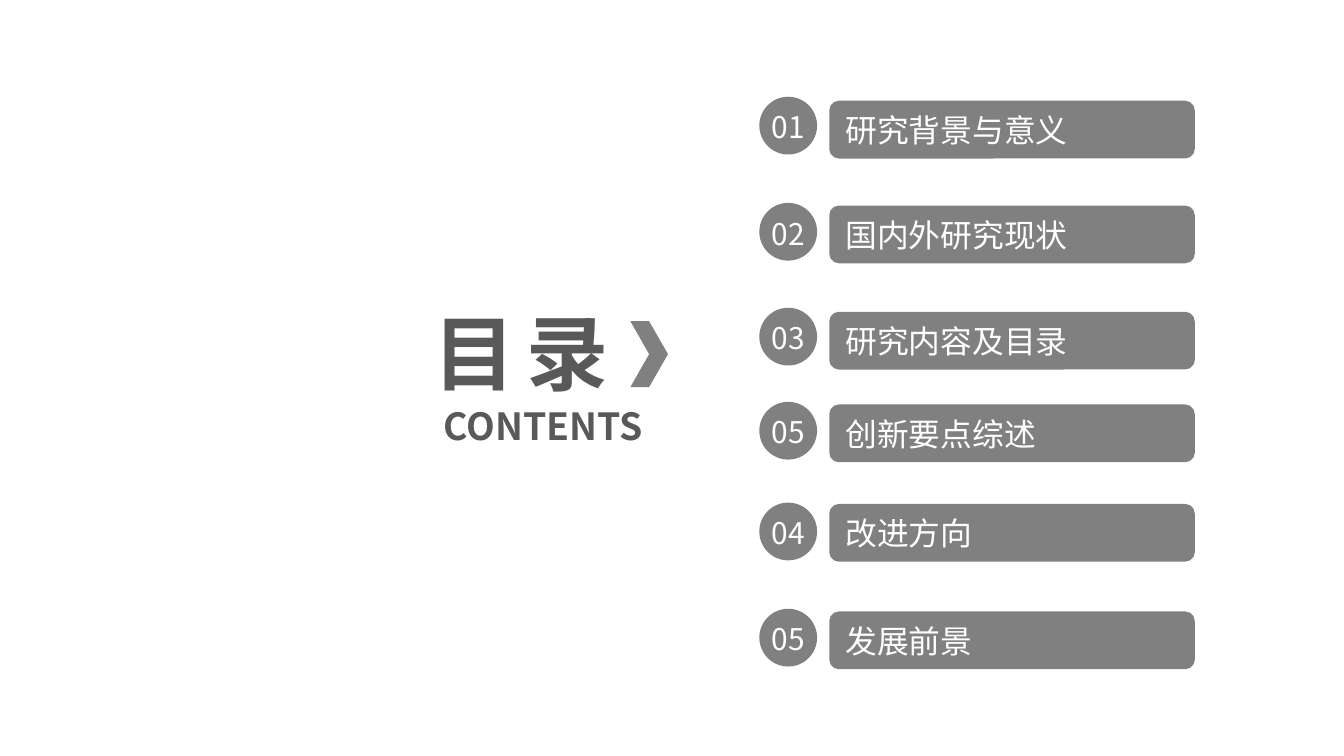
from pptx import Presentation
from pptx import util as u
from pptx.dml.color import RGBColor
from pptx.enum import shapes, text
from pptx.oxml.ns import qn

WIDTH = 10
HEIGHT = WIDTH * 9 / 16
FONT = "Noto Sans CJK SC"
GRAY, DARK, WHITE = "808080", "595959", "FFFFFF"
DOT_X, BAR_X = 0.565 * WIDTH, 0.617 * WIDTH
SIZE, BAR_W = 0.43, 0.272 * WIDTH
LABEL_W, LABEL_H = 0.52, 0.37
ROWS = [
    (0.72, 0.75, "01", "研究背景与意义"),
    (1.51, 1.53, "02", "国内外研究现状"),
    (2.29, 2.32, "03", "研究内容及目录"),
    (2.99, 3.01, "05", "创新要点综述"),
    (3.74, 3.75, "04", "改进方向"),
    (4.53, 4.55, "05", "发展前景"),
]


def color(value):
    return RGBColor.from_string(value)


def write(sp, words, size, fill, bold=False, align=text.PP_ALIGN.LEFT, spacing=None):
    tf = sp.text_frame
    tf.word_wrap = True
    tf.auto_size = text.MSO_AUTO_SIZE.NONE
    tf.vertical_anchor = text.MSO_ANCHOR.MIDDLE
    p = tf.paragraphs[0]
    p.alignment = align
    r = p.add_run()
    r.text = words
    r.font.size = u.Pt(size)
    r.font.bold = bold
    r.font.color.rgb = color(fill)
    r.font.name = FONT
    rPr = r.font._element
    ea = rPr.makeelement(qn("a:ea"), {"typeface": FONT})
    rPr.find(qn("a:latin")).addnext(ea)
    if spacing is not None:
        rPr.set("spc", str(round(spacing * 100)))


def add_block(s, kind, x, y, w, h):
    sp = s.shapes.add_shape(kind, *map(u.Inches, (x, y, w, h)))
    sp.shadow.inherit = False
    sp.fill.solid()
    sp.fill.fore_color.rgb = color(GRAY)
    sp.line.fill.background()
    return sp


def add_label(s, x, y, w, h, words, size, fill, **style):
    sp = s.shapes.add_textbox(*map(u.Inches, (x, y, w, h)))
    write(sp, words, size, fill, **style)


def add_entry(s, dot_y, bar_y, number, title):
    bar = add_block(s, shapes.MSO_SHAPE.ROUNDED_RECTANGLE, BAR_X, bar_y, BAR_W, SIZE)
    write(bar, title, 17, WHITE)
    add_block(s, shapes.MSO_SHAPE.OVAL, DOT_X, dot_y, SIZE, SIZE)
    add_label(s, DOT_X + (SIZE - LABEL_W) / 2, dot_y + 0.04, LABEL_W, LABEL_H,
              number, 16, WHITE, align=text.PP_ALIGN.CENTER)


def add_heading(s):
    add_label(s, 3.13, 2.2, 2.35, 0.84, "目 录", 44, DARK, bold=True, spacing=-2.2)
    add_label(s, 3.2, 2.95, 2.31, 0.44, "CONTENTS", 20, DARK, bold=True)
    add_block(s, shapes.MSO_SHAPE.CHEVRON, 4.69, 2.39, 0.28, 0.49)


def main():
    prs = Presentation()
    prs.slide_width, prs.slide_height = u.Inches(WIDTH), u.Inches(HEIGHT)
    s = prs.slides.add_slide(prs.slide_layouts[6])
    add_heading(s)
    for row in ROWS:
        add_entry(s, *row)
    prs.save("out.pptx")


if __name__ == "__main__":
    main()
